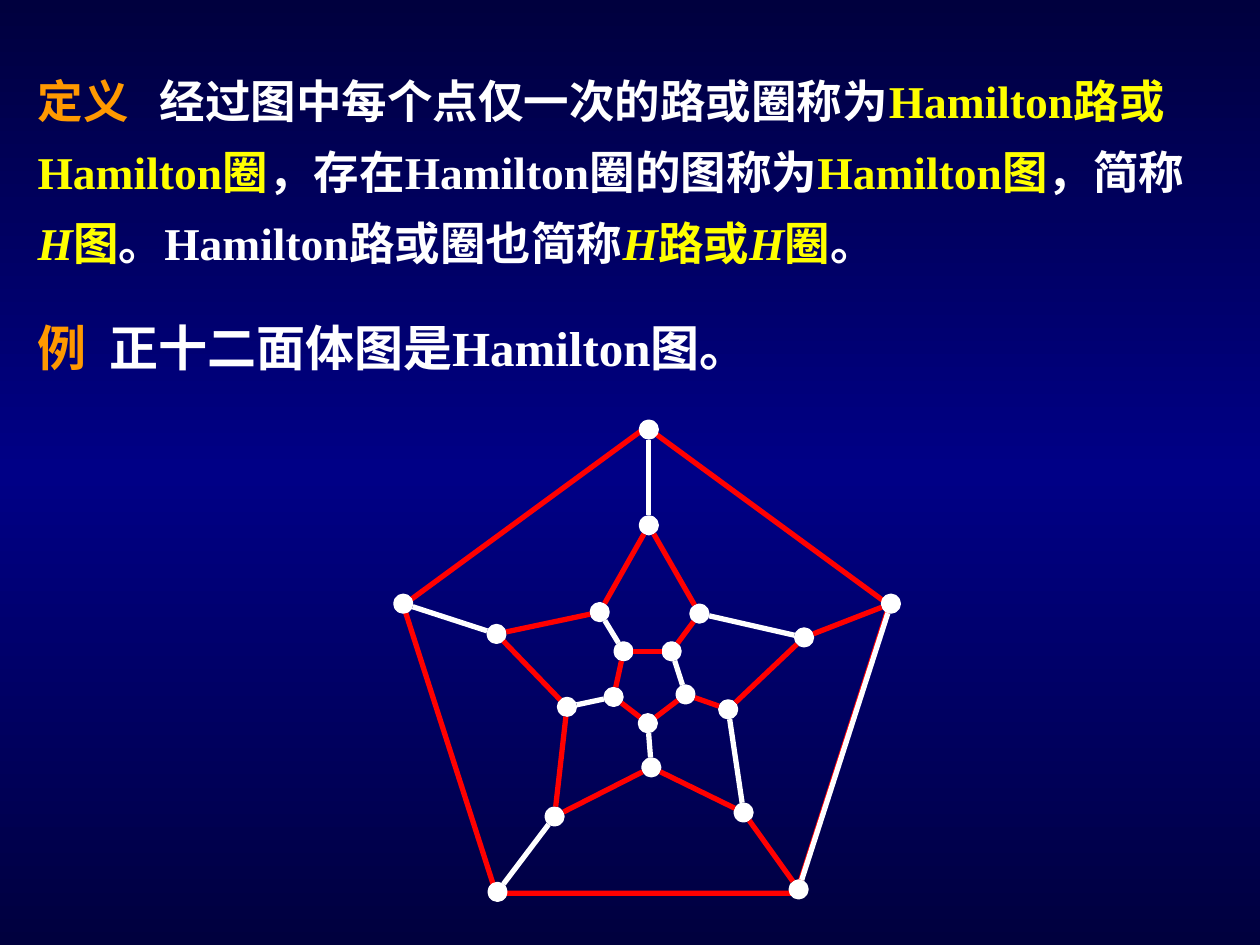
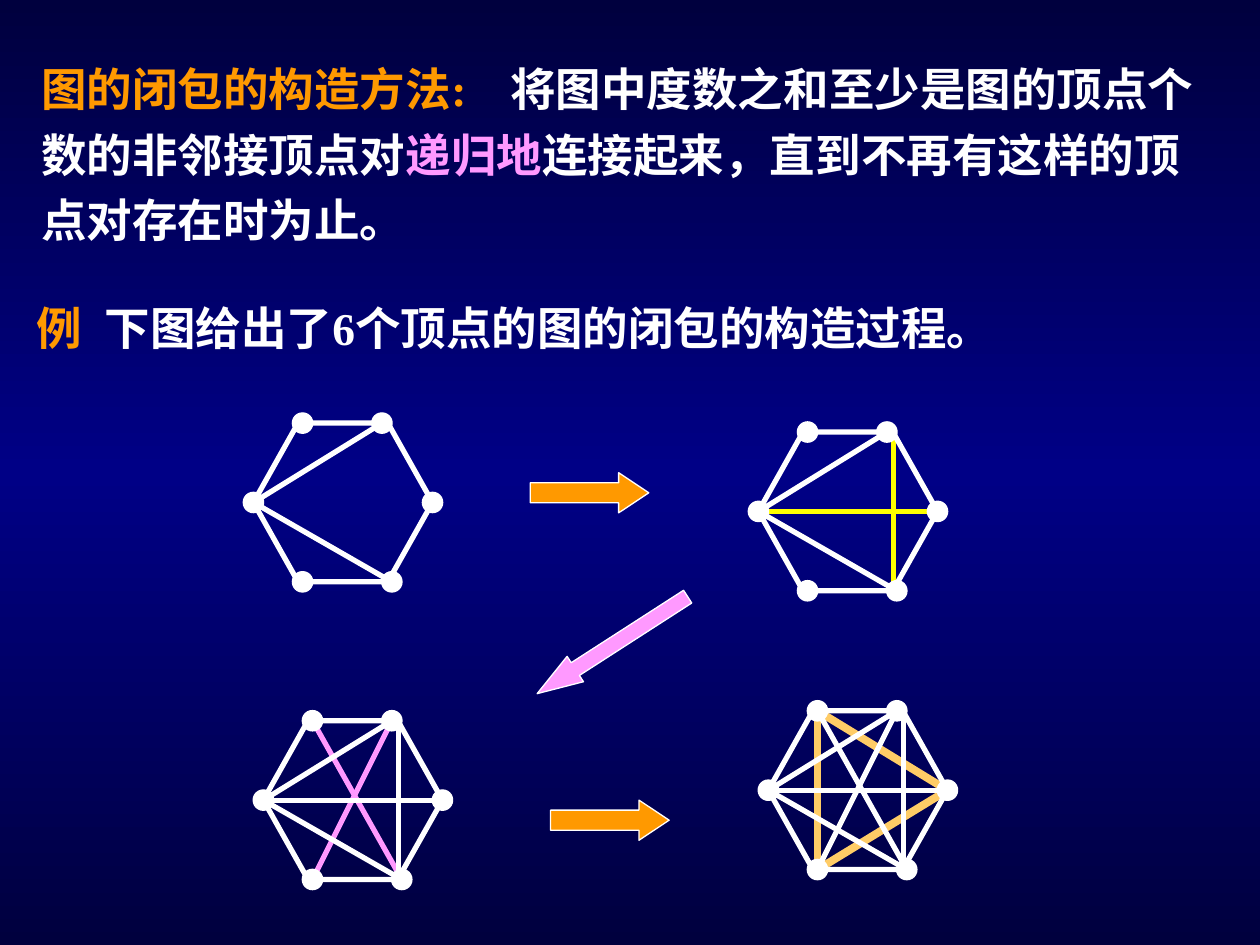
from copy import deepcopy
from math import hypot

from lxml.etree import SubElement
from pptx import Presentation
from pptx.dml.color import RGBColor
from pptx.enum.shapes import MSO_CONNECTOR, MSO_SHAPE as Shape
from pptx.enum.text import MSO_AUTO_SIZE as AutoSize
from pptx.oxml.ns import qn
from pptx.util import Cm, Pt

NIGHT = RGBColor(0x00, 0x00, 0x3E)
NAVY = RGBColor(0x00, 0x00, 0x86)
WHITE = RGBColor(0xFF, 0xFF, 0xFF)
ORANGE = RGBColor(0xFF, 0x99, 0x00)
YELLOW = RGBColor(0xFF, 0xFF, 0x00)
PINK = RGBColor(0xFF, 0x99, 0xFF)
RED = RGBColor(0xFF, 0x00, 0x00)
SAND = RGBColor(0xFF, 0xCC, 0x66)
FONT = "Times New Roman"

OUTER = [(13.08, 8.66), (17.96, 12.17), (16.1, 17.93), (10.03, 17.98), (8.13, 12.17)]
MIDDLE = [(13.08, 10.59), (14.1, 12.37), (16.21, 12.85), (14.68, 14.3), (14.99, 16.38),
          (13.13, 15.47), (11.18, 16.46), (11.43, 14.25), (10.01, 12.78), (12.09, 12.34)]
INNER = [(13.54, 13.13), (13.82, 14.0), (13.06, 14.58), (12.37, 14.05), (12.57, 13.13)]

HEXAGON = {"upper left": (0.99, 0), "upper right": (2.59, 0), "right": (3.61, 1.6),
           "left": (0, 1.6), "lower left": (0.99, 3.2), "lower right": (2.79, 3.2)}
CHORD_ENDS = HEXAGON | {"near right": (3.4, 1.6), "upright top": (2.72, 0),
                        "upright foot": (2.72, 3.2)}
FANS = [("left", "upper right"), ("left", "lower right")]
CROSS = [("left", "near right"), ("upright top", "upright foot")]
DIAGONALS = [("upper right", "lower left"), ("upper left", "lower right")]
LAST_CHORDS = [("upper left", "lower left"), ("lower left", "right"), ("upper left", "right")]


def paint_background(master):
    """Give every slide the vertical navy gradient."""
    fill = master.background.fill
    fill.gradient()
    fill.gradient_angle = 270
    stops = master.element.find(".//" + qn("a:gsLst"))
    stops.append(deepcopy(stops[0]))
    for stop, color, position in zip(fill.gradient_stops, (NIGHT, NAVY, NIGHT), (0, 0.5, 1)):
        stop.color.rgb = color
        stop.position = position


def add_span(para, text, *, size, color=WHITE, italic=False):
    """Append one bold run to a paragraph."""
    span = para.add_run()
    span.text = text
    span.font.name = FONT
    span.font.size = Pt(size)
    span.font.bold = True
    span.font.italic = italic
    span.font.color.rgb = color


def add_statement(page, left, top, width, height, spans, *, size=26, spacing=1.0, tab):
    """Place a labelled paragraph whose body starts at a tab stop."""
    box = page.shapes.add_textbox(Cm(left), Cm(top), Cm(width), Cm(height))
    frame = box.text_frame
    frame.word_wrap = True
    frame.auto_size = AutoSize.SHAPE_TO_FIT_TEXT
    para = frame.paragraphs[0]
    tabs = SubElement(para._p.get_or_add_pPr(), qn("a:tabLst"))
    SubElement(tabs, qn("a:tab"), pos=str(Cm(tab)), algn="l")
    para.line_spacing = spacing
    for text, style in spans:
        add_span(para, text, size=size, **style)


def add_figure(page, kind, left, top, width, height, *, fill=None, line=WHITE, weight=0.75):
    """Draw a preset shape, hollow unless a fill is given."""
    figure = page.shapes.add_shape(kind, Cm(left), Cm(top), Cm(width), Cm(height))
    figure.shadow.inherit = False
    if fill is None:
        figure.fill.background()
    else:
        figure.fill.solid()
        figure.fill.fore_color.rgb = fill
    figure.line.color.rgb = line
    figure.line.width = Pt(weight)
    return figure


def add_vertex(page, center, *, diameter, weight):
    """Draw a white dot around a centre."""
    x, y = center
    add_figure(page, Shape.OVAL, x - diameter / 2, y - diameter / 2, diameter, diameter,
               fill=WHITE, weight=weight)


def add_edge(page, start, end, *, color=WHITE, weight=3, trim=0):
    """Draw a straight edge, cut back by trim at both ends."""
    (x1, y1), (x2, y2) = start, end
    cut = trim / hypot(x2 - x1, y2 - y1)
    dx, dy = (x2 - x1) * cut, (y2 - y1) * cut
    edge = page.shapes.add_connector(MSO_CONNECTOR.STRAIGHT, Cm(x1 + dx), Cm(y1 + dy),
                                     Cm(x2 - dx), Cm(y2 - dy))
    edge.line.color.rgb = color
    edge.line.width = Pt(weight)
    SubElement(edge._element.spPr, qn("a:effectLst"))


def add_arrow(page, left, top, width, height, *, fill, head, rotation=0):
    """Draw a block arrow."""
    arrow = add_figure(page, Shape.RIGHT_ARROW, left, top, width, height, fill=fill)
    arrow.adjustments[1] = head
    arrow.rotation = rotation


def ring(points):
    """Pair each point with the next one, closing the cycle."""
    return list(zip(points, points[1:] + points[:1]))


def add_dodecahedron(page):
    """Draw the dodecahedron graph with its Hamilton cycle in red."""
    add_figure(page, Shape.REGULAR_PENTAGON, 8.13, 8.61, 9.8, 9.4, line=RED, weight=3)
    for vertex in OUTER + MIDDLE + INNER:
        add_vertex(page, vertex, diameter=0.3, weight=3)
    groups = [
        (ring(MIDDLE), {1, 3}),
        (list(zip(OUTER, MIDDLE[::2])), {0, 3, 4}),
        (list(zip(MIDDLE[1::2], INNER)), {2, 3, 4}),
        (ring(INNER), {0}),
        ([(OUTER[1], OUTER[2])], {0}),
    ]
    for edges, off_cycle in groups:
        for index, (start, end) in enumerate(edges):
            color = WHITE if index in off_cycle else RED
            add_edge(page, start, end, color=color, trim=0.2)


def add_closure_stage(page, left, top, *, fresh=(), color=WHITE, weight=3, settled=()):
    """Draw a six-vertex graph with fresh chords behind and settled ones in front."""
    def place(name):
        x, y = CHORD_ENDS[name]
        return left + x, top + y

    for start, end in fresh:
        add_edge(page, place(start), place(end), color=color, weight=weight)
    hexagon = add_figure(page, Shape.HEXAGON, left, top, 3.61, 3.2, weight=3)
    hexagon.adjustments[0] = 0.281
    for name in HEXAGON:
        add_vertex(page, place(name), diameter=0.41, weight=0.75)
    for start, end in FANS + list(settled):
        add_edge(page, place(start), place(end))


def build_hamilton_page(page):
    """Define Hamilton paths and cycles and show the dodecahedron."""
    label, plain, term = {"color": ORANGE}, {}, {"color": YELLOW}
    symbol = {"color": YELLOW, "italic": True}
    add_statement(page, 0.51, 1.02, 24, 4.55, [
        ("定义", label), ("\t经过图中每个点仅一次的路或圈称为", plain),
        ("Hamilton路或Hamilton圈", term), ("，存在Hamilton圈的图称为", plain),
        ("Hamilton图", term), ("，简称", plain), ("H", symbol), ("图", term),
        ("。Hamilton路或圈也简称", plain), ("H", symbol), ("路或", term),
        ("H", symbol), ("圈", term), ("。", plain),
    ], spacing=1.3, tab=2.46)
    add_statement(page, 0.51, 6.27, 17.4, 1.45, [
        ("例", label), ("\t正十二面体图是Hamilton图。", plain),
    ], size=28, tab=1.45)
    add_dodecahedron(page)


def build_closure_page(page):
    """Explain the closure of a graph and show its four stages."""
    label, plain = {"color": ORANGE}, {}
    add_statement(page, 0.58, 0.89, 24, 4.22, [
        ("图的闭包的构造方法:", label),
        ("\t将图中度数之和至少是图的顶点个数的非邻接顶点对", plain),
        ("递归地", {"color": PINK}),
        ("连接起来，直到不再有这样的顶点对存在时为止。", plain),
    ], spacing=1.2, tab=9.46)
    add_statement(page, 0.48, 5.92, 23, 1.37, [
        ("例", label), ("\t下图给出了6个顶点的图的闭包的构造过程。", plain),
    ], tab=1.38)
    add_closure_stage(page, 5.11, 8.53)
    add_closure_stage(page, 15.29, 8.71, fresh=CROSS, color=YELLOW)
    add_closure_stage(page, 5.31, 14.53, fresh=DIAGONALS, color=PINK, settled=CROSS)
    add_closure_stage(page, 15.49, 14.33, fresh=LAST_CHORDS, color=SAND, weight=4.5,
                      settled=CROSS + DIAGONALS)
    for left, top in ((10.69, 9.53), (11.1, 16.13)):
        add_arrow(page, left, top, 2.39, 0.81, fill=ORANGE, head=0.75)
    add_arrow(page, 10.54, 12.7, 3.61, 0.61, fill=PINK, head=1.5, rotation=147.2)


def main():
    """Build and save the deck."""
    deck = Presentation()
    deck.slide_width, deck.slide_height = Cm(25.4), Cm(19.05)
    paint_background(deck.slide_master)
    for build in (build_hamilton_page, build_closure_page):
        build(deck.slides.add_slide(deck.slide_layouts[6]))
    deck.save("out.pptx")


if __name__ == "__main__":
    main()
